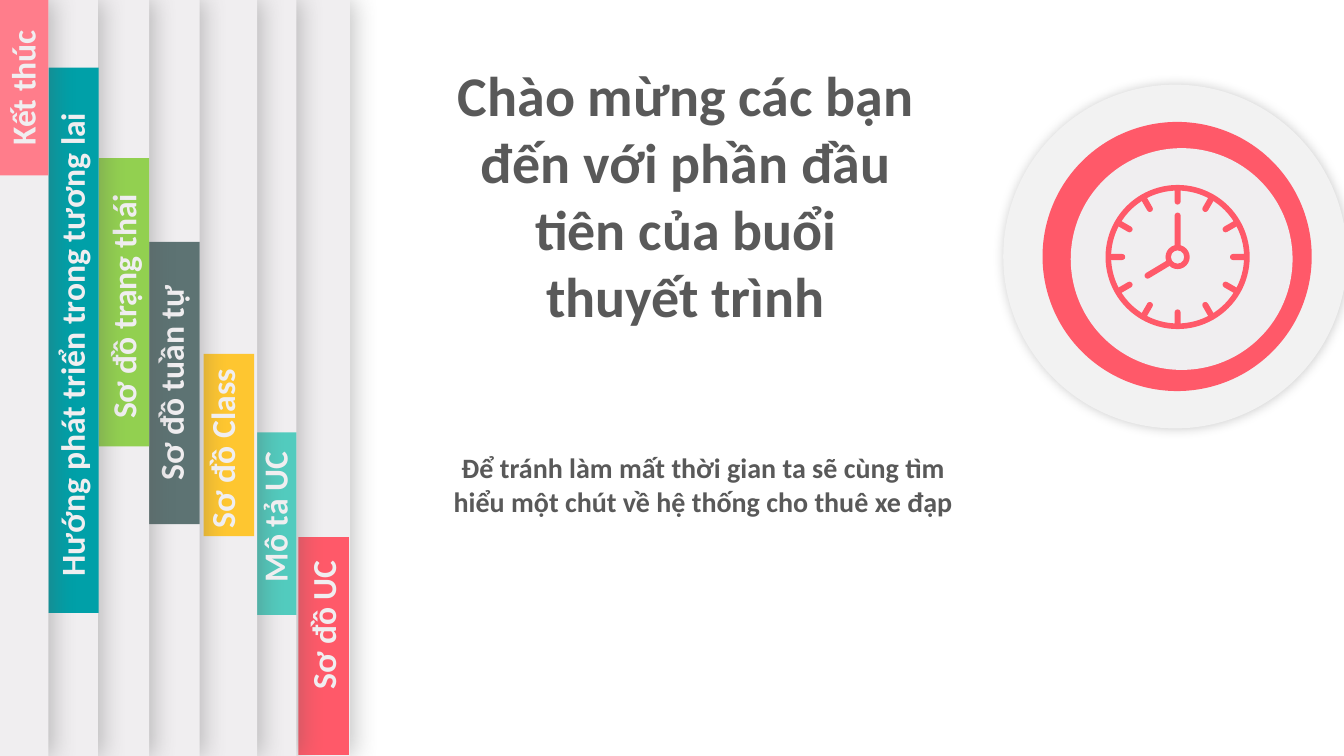
from math import cos, pi, sin

from lxml.etree import SubElement
from pptx import Presentation
from pptx.dml.color import RGBColor
from pptx.enum.shapes import MSO_SHAPE
from pptx.enum.text import MSO_AUTO_SIZE, PP_ALIGN
from pptx.oxml.ns import qn
from pptx.util import Inches, Pt

COLORS = {
    "text": "595959", "paper": "F0EEF0", "disc": "F2F2F2", "black": "000000",
    "red": "FF5969", "mint": "52CBBE", "yellow": "FEC630", "slate": "5D7373",
    "green": "92D050", "teal": "00A0A8", "pink": "FF7D8B",
}
PANEL_WIDTH = 13.65
TAB_WIDTH = 0.5
CLOCK_X, CLOCK_Y = 11.68, 2.55

# panel right edge, colour, tab left, top, height
# label, label centre x and y, label length, label above all panels
TABS = [
    (3.47, "red", 2.96, 5.33, 2.16, "Sơ đồ UC", 3.2, 6.2, 2.01, True),
    (2.94, "mint", 2.44, 4.29, 1.81, "Mô tả UC", 2.72, 5.13, 1.85, True),
    (2.55, "yellow", 2.02, 3.51, 1.81, "Sơ đồ Class", 2.2, 4.45, 2.01, True),
    (1.98, "slate", 1.48, 2.4, 2.8, "Sơ đồ tuần tự", 1.69, 3.8, 3.45, False),
    (1.48, "green", 0.98, 1.57, 2.86, "Sơ đồ trạng thái", 1.22, 3.04, 2.6, False),
    (0.97, "teal", 0.48, 0.67, 5.41, "Hướng phát triển trong tương lai",
     0.71, 3.42, 5.89, True),
    (0.48, "pink", -0.02, -0.01, 1.75, "Kết thúc", 0.22, 0.87, 1.93, False),
]


def paint(shape, color):
    """Give a shape a plain fill with no line and no shadow."""
    shape.fill.solid()
    shape.fill.fore_color.rgb = RGBColor.from_string(COLORS[color])
    shape.line.fill.background()
    shape.shadow.inherit = False
    return shape


def add_block(page, kind, left, top, width, height, color, adjustments=()):
    """Add a filled preset shape."""
    shape = page.shapes.add_shape(
        kind, Inches(left), Inches(top), Inches(width), Inches(height))
    for index, value in enumerate(adjustments):
        shape.adjustments[index] = value
    return paint(shape, color)


def add_shadow(shape, color, opacity, blur, distance):
    """Cast a soft shadow to the right of a shape."""
    effects = shape._element.spPr.find(qn("a:effectLst"))
    shadow = SubElement(effects, qn("a:outerShdw"), blurRad=str(Pt(blur)),
                        dist=str(Pt(distance)), dir="0", algn="ctr", rotWithShape="0")
    tint = SubElement(shadow, qn("a:srgbClr"), val=COLORS[color])
    SubElement(tint, qn("a:alpha"), val=str(opacity * 1000))


def add_text(page, left, top, width, height, text, size, color="text"):
    """Add a bold centred text box."""
    box = page.shapes.add_textbox(
        Inches(left), Inches(top), Inches(width), Inches(height))
    frame = box.text_frame
    frame.word_wrap = True
    frame.auto_size = MSO_AUTO_SIZE.SHAPE_TO_FIT_TEXT
    frame.text = text
    para = frame.paragraphs[0]
    para.alignment = PP_ALIGN.CENTER
    font = para.runs[0].font
    font.name = "Calibri"
    font.size = Pt(size)
    font.bold = True
    font.color.rgb = RGBColor.from_string(COLORS[color])
    return box


def add_label(page, text, center_x, center_y, length):
    """Add a tab label that reads upwards."""
    box = add_text(page, center_x - length / 2, center_y - TAB_WIDTH / 2,
                   length, TAB_WIDTH, text, 24, "paper")
    box.rotation = 270


def add_tick(page, angle, inner=0.55, outer=0.66, radius=0.03, steps=6):
    """Add one round-ended hour mark of the clock."""
    points = []
    for reach, start in ((outer, angle - pi / 2), (inner, angle + pi / 2)):
        for step in range(steps + 1):
            turn = start + pi * step / steps
            x = CLOCK_X + reach * cos(angle) + radius * cos(turn)
            y = CLOCK_Y + reach * sin(angle) + radius * sin(turn)
            points.append((Inches(x), Inches(y)))
    builder = page.shapes.build_freeform(*points[0])
    builder.add_line_segments(points[1:], close=True)
    paint(builder.convert_to_shape(), "red")


def add_clock(page):
    """Add the round badge with the clock in it."""
    disc = add_block(page, MSO_SHAPE.OVAL, 9.95, 0.84, 3.41, 3.41, "disc")
    add_shadow(disc, "black", 20, 8, 0)
    add_block(page, MSO_SHAPE.OVAL, 10.34, 1.21, 2.67, 2.67, "red")
    add_block(page, MSO_SHAPE.OVAL, 10.62, 1.47, 2.2, 2.2, "paper")
    for hour in range(12):
        add_tick(page, hour * pi / 6 - pi / 2)
    for size, thickness in ((1.43, 0.039), (0.24, 0.226)):
        add_block(page, MSO_SHAPE.DONUT, CLOCK_X - size / 2, CLOCK_Y - size / 2,
                  size, size, "red", [thickness])
    for left, top, length, rotation in ((11.45, 2.53, 0.29, 239), (11.65, 2.11, 0.34, 0)):
        hand = add_block(page, MSO_SHAPE.ROUND_2_SAME_RECTANGLE,
                         left, top, 0.06, length, "red", [0.5, 0])
        hand.rotation = rotation


def add_tabs(page):
    """Add the stacked panels with their coloured tabs and labels."""
    raised_labels = []
    for right, color, left, top, height, text, x, y, length, raised in TABS:
        panel = add_block(page, MSO_SHAPE.RECTANGLE, right - PANEL_WIDTH, 0,
                          PANEL_WIDTH, 7.5, "paper")
        add_shadow(panel, "text", 35, 17, 3)
        add_block(page, MSO_SHAPE.RECTANGLE, left, top, TAB_WIDTH, height, color)
        if raised:
            raised_labels.append((text, x, y, length))
        else:
            add_label(page, text, x, y, length)
    for label in raised_labels:
        add_label(page, *label)


def main():
    """Build the slide and save it."""
    deck = Presentation()
    deck.slide_width = Inches(13.33)
    deck.slide_height = Inches(7.5)
    page = deck.slides.add_slide(deck.slide_layouts[6])
    add_text(page, 4.39, 0.55, 4.82, 2.79,
             "Chào mừng các bạn đến với phần đầu tiên của buổi thuyết trình", 40)
    add_text(page, 4.28, 4.42, 5.39, 0.77,
             "Để tránh làm mất thời gian ta sẽ cùng tìm hiểu một chút "
             "về hệ thống cho thuê xe đạp", 20)
    add_clock(page)
    add_tabs(page)
    deck.save("out.pptx")


if __name__ == "__main__":
    main()
